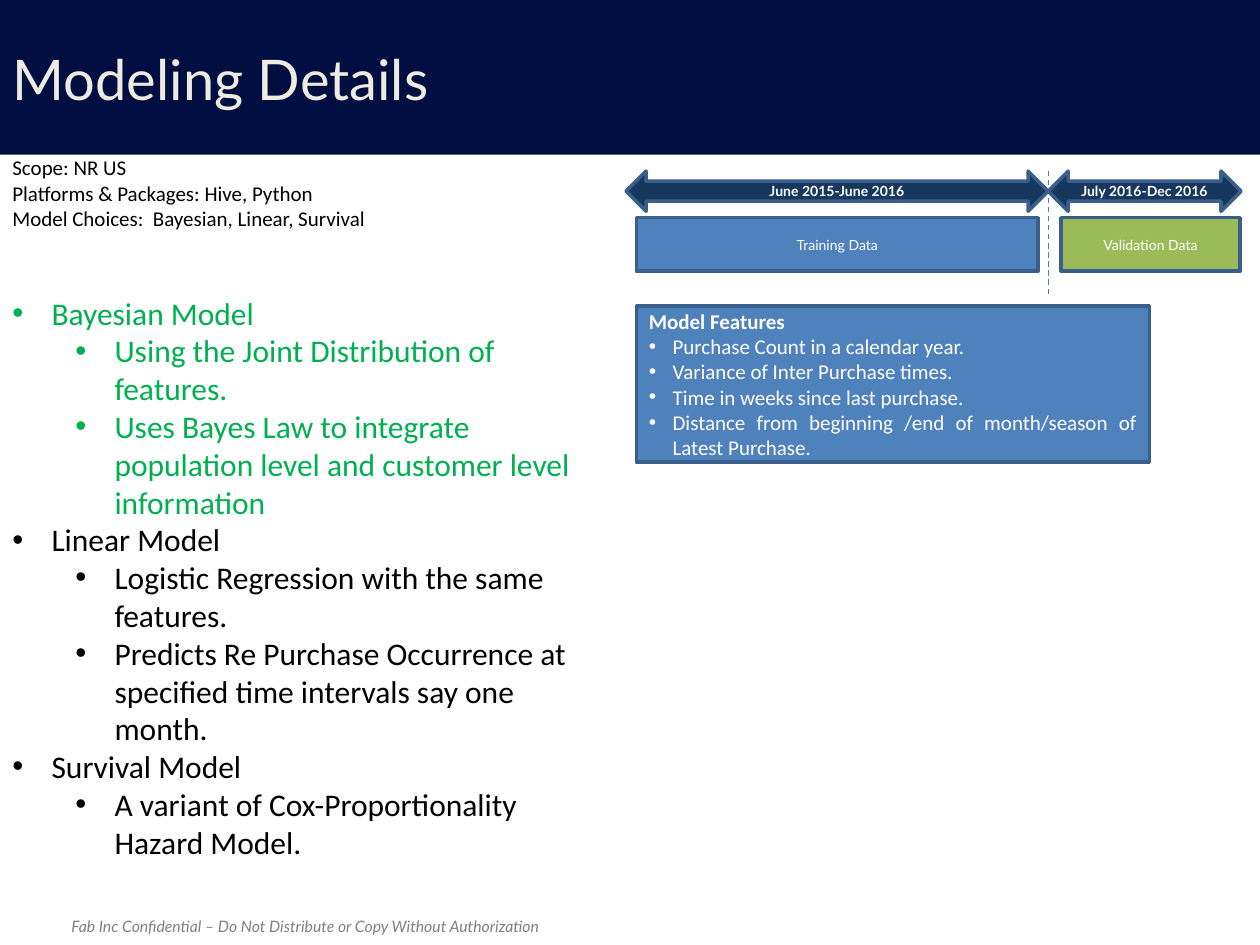
from dataclasses import dataclass

from lxml import etree
from pptx import Presentation
from pptx.dml.color import RGBColor
from pptx.enum.dml import MSO_LINE
from pptx.enum.shapes import MSO_CONNECTOR, MSO_SHAPE
from pptx.enum.text import MSO_ANCHOR, MSO_AUTO_SIZE, PP_ALIGN
from pptx.oxml.ns import qn
from pptx.util import Cm, Pt

RECT = MSO_SHAPE.RECTANGLE
ARROW = MSO_SHAPE.LEFT_RIGHT_ARROW
STRAIGHT = MSO_CONNECTOR.STRAIGHT
DASH = MSO_LINE.DASH
MIDDLE = MSO_ANCHOR.MIDDLE
TOP = MSO_ANCHOR.TOP
FIXED = MSO_AUTO_SIZE.NONE
LEFT, CENTER, JUSTIFY = PP_ALIGN.LEFT, PP_ALIGN.CENTER, PP_ALIGN.JUSTIFY

BLUE, BORDER, WHITE, BLACK, GREEN = "4F81BD", "3A5F8C", "FFFFFF", "000000", "00B050"
SPLIT_X, ARROW_Y, DATA_Y = 21.13, 3.45, 4.39


@dataclass
class Box:
    left: float
    top: float
    width: float
    height: float

    def lengths(self) -> tuple:
        return Cm(self.left), Cm(self.top), Cm(self.width), Cm(self.height)


@dataclass
class Line:
    text: str
    size: float
    color: str = WHITE
    font: str = "Lato"
    bold: bool = False
    italic: bool = False
    align: PP_ALIGN = LEFT
    margin: float = 0
    hanging: float = 0
    before: float = 0


@dataclass
class Period:
    left: float
    width: float
    dates: str
    data_left: float
    data_width: float
    data: str
    fill: str


@dataclass
class Model:
    name: str
    points: list[str]
    color: str = BLACK


PERIODS = [
    Period(12.62, 8.51, "June 2015-June 2016", 12.83, 8.1, "Training Data", BLUE),
    Period(SPLIT_X, 3.89, "July 2016-Dec 2016", 21.39, 3.61, "Validation Data", "9BBB59"),
]
SCOPE = [
    "Scope: NR US",
    "Platforms & Packages: Hive, Python",
    "Model Choices:  Bayesian, Linear, Survival",
]
MODELS = [
    Model("Bayesian Model", [
        "Using the Joint Distribution of features.",
        "Uses Bayes Law to integrate population level and customer level information",
    ], GREEN),
    Model("Linear Model", [
        "Logistic Regression with the same features.",
        "Predicts Re Purchase Occurrence at specified time intervals say one month.",
    ]),
    Model("Survival Model", ["A variant of Cox-Proportionality Hazard Model."]),
]
FEATURES = [
    "Purchase Count in a calendar year.",
    "Variance of Inter Purchase times.",
    "Time in weeks since last purchase.",
    "Distance from beginning /end of month/season of Latest Purchase.",
]


def rgb(color: str) -> RGBColor:
    return RGBColor.from_string(color)


def write(frame, lines: list[Line], anchor=TOP) -> None:
    frame.word_wrap = True
    frame.auto_size = FIXED
    frame.vertical_anchor = anchor
    for index, line in enumerate(lines):
        paragraph = frame.add_paragraph() if index else frame.paragraphs[0]
        paragraph.alignment = line.align
        paragraph.space_before = Pt(line.before)
        if line.hanging:
            properties = paragraph._p.get_or_add_pPr()
            properties.set("marL", str(Cm(line.margin)))
            properties.set("indent", str(-Cm(line.hanging)))
            etree.SubElement(properties, qn("a:buFont"), typeface="Arial")
            etree.SubElement(properties, qn("a:buChar"), char="•")
        run = paragraph.add_run()
        run.text = line.text
        run.font.size = Pt(line.size)
        run.font.name = line.font
        run.font.bold = line.bold
        run.font.italic = line.italic
        run.font.color.rgb = rgb(line.color)


def add_panel(slide, preset, box: Box, fill: str, lines: list[Line]) -> None:
    panel = slide.shapes.add_shape(preset, *box.lengths())
    panel.shadow.inherit = False
    panel.fill.solid()
    panel.fill.fore_color.rgb = rgb(fill)
    panel.line.color.rgb = rgb(BORDER)
    panel.line.width = Pt(2)
    write(panel.text_frame, lines, MIDDLE)


def add_text(slide, box: Box, lines: list[Line]) -> None:
    write(slide.shapes.add_textbox(*box.lengths()).text_frame, lines)


def add_header(slide) -> None:
    band = slide.shapes.add_shape(RECT, *Box(0, 0, 25.4, 3.12).lengths())
    band.shadow.inherit = False
    band.fill.solid()
    band.fill.fore_color.rgb = rgb("000E41")
    band.line.fill.background()
    slide.shapes._spTree.insert(2, band._element)
    title = slide.shapes.title
    title.left, title.top, title.width, title.height = Box(0, 0.13, 25.4, 2.87).lengths()
    write(title.text_frame, [Line("Modeling Details", 32, "EEECE1")], MIDDLE)


def add_divider(slide) -> None:
    divider = slide.shapes.add_connector(
        STRAIGHT, Cm(SPLIT_X), Cm(ARROW_Y), Cm(SPLIT_X), Cm(5.94))
    divider.line.color.rgb = rgb("4B7EBC")
    divider.line.width = Pt(0.75)
    divider.line.dash_style = DASH
    etree.SubElement(divider._element.spPr, qn("a:effectLst"))


def add_period(slide, period: Period) -> None:
    add_panel(slide, ARROW, Box(period.left, ARROW_Y, period.width, 0.81), "17375E",
              [Line(period.dates, 8, bold=True, align=CENTER)])
    add_panel(slide, RECT, Box(period.data_left, DATA_Y, period.data_width, 1.08),
              period.fill, [Line(period.data, 8, align=CENTER)])


def model_lines() -> list[Line]:
    lines = [Line(text, 12, BLACK, "Calibri") for text in SCOPE]
    for index, model in enumerate(MODELS):
        lines.append(Line(model.name, 18, model.color, "Calibri",
                          margin=0.79, hanging=0.79, before=0 if index else 36))
        lines += [Line(point, 18, model.color, "Calibri", margin=2.06, hanging=0.79)
                  for point in model.points]
    return lines


def feature_lines() -> list[Line]:
    heading = Line("Model Features", 12, font="Calibri", bold=True, align=JUSTIFY)
    return [heading] + [
        Line(text, 12, font="Calibri", align=JUSTIFY, margin=0.48, hanging=0.48)
        for text in FEATURES]


def main() -> None:
    deck = Presentation()
    deck.slide_width, deck.slide_height = Cm(25.4), Cm(19.05)
    slide = deck.slides.add_slide(deck.slide_layouts[5])
    add_header(slide)
    add_text(slide, Box(1.19, 18.36, 23.67, 0.64), [
        Line("Fab Inc Confidential – Do Not Distribute or Copy Without Authorization",
             9, "808080", italic=True)])
    add_text(slide, Box(0, 3, 12.4, 16.05), model_lines())
    add_panel(slide, RECT, Box(12.83, 6.17, 10.34, 3.15), BLUE, feature_lines())
    add_divider(slide)
    for period in PERIODS:
        add_period(slide, period)
    deck.save("out.pptx")


if __name__ == "__main__":
    main()
